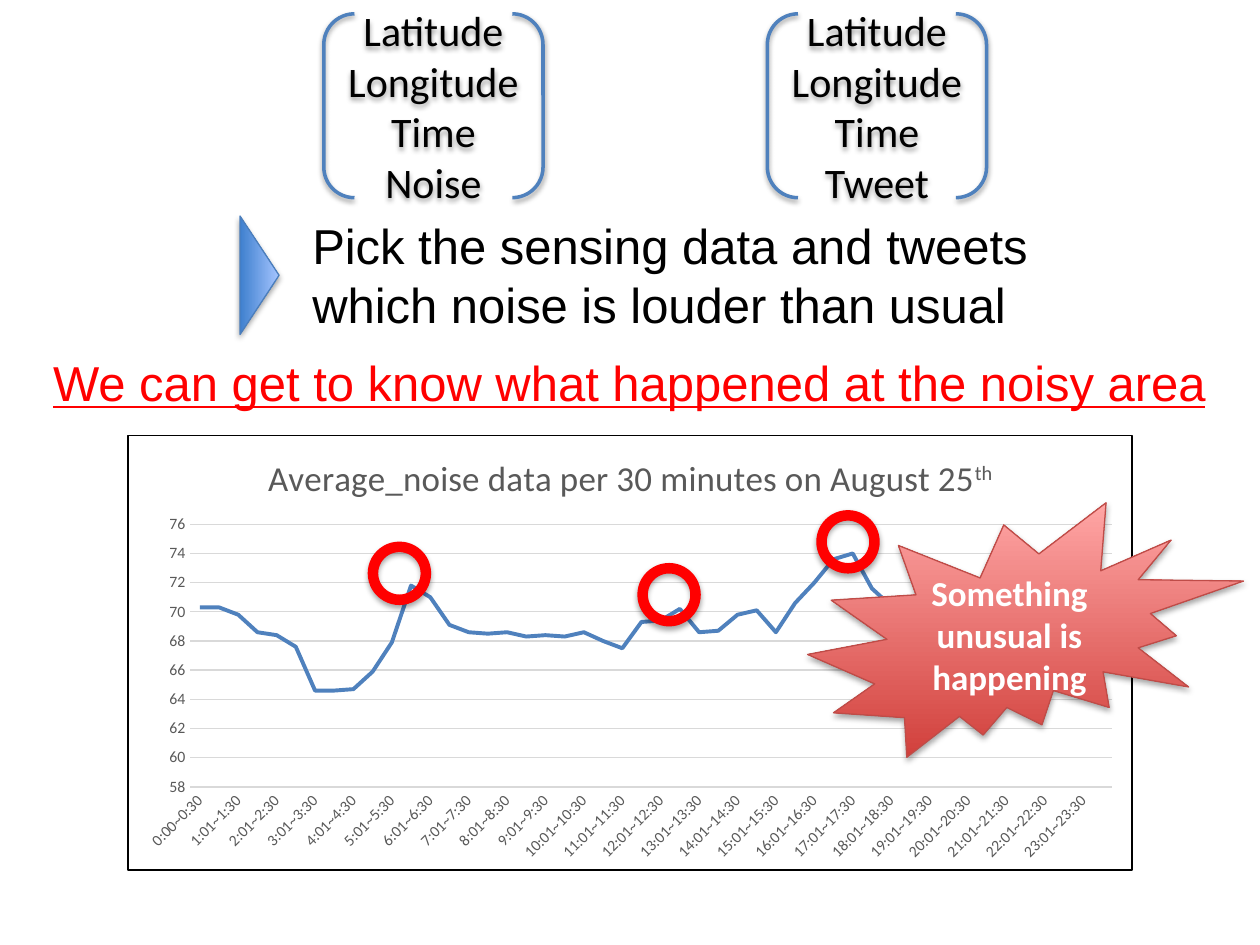
import pptx
import pptx.chart.data
import pptx.dml.color
import pptx.enum.chart
import pptx.enum.shapes
import pptx.enum.text
import pptx.oxml
import pptx.util

Inches, Pt = pptx.util.Inches, pptx.util.Pt
SHAPE = pptx.enum.shapes.MSO_SHAPE
CENTER = pptx.enum.text.PP_ALIGN.CENTER
COLOURS = {
    "text": "000000", "alert": "FF0000", "light": "FFFFFF", "label": "595959",
    "grid": "D9D9D9", "line": "4F81BD", "arrow_edge": "4B7EBC", "burst_edge": "BF4C48",
    "arrow_dark": "3F80CE", "arrow_light": "A4C4FF",
    "burst_dark": "D1403C", "burst_light": "FFA6A5",
}


def rgb(name):
    return pptx.dml.color.RGBColor.from_string(COLOURS[name])


def write(shape, lines, colour, align=None, **font_format):
    """Fill a shape with one paragraph per line, setting each font attribute given."""
    frame = shape.text_frame
    frame.word_wrap = True
    frame.text = "\n".join(lines)
    for paragraph in frame.paragraphs:
        paragraph.alignment = align
        font = paragraph.runs[0].font
        font.color.rgb = rgb(colour)
        for attribute, value in font_format.items():
            setattr(font, attribute, value)


deck = pptx.Presentation()
deck.slide_width, deck.slide_height = Inches(10), Inches(7.5)
slide = deck.slides.add_slide(deck.slide_layouts[6])
shapes = slide.shapes

# Step: arrow and what is picked
arrow = shapes.add_shape(SHAPE.ISOSCELES_TRIANGLE,
                         Inches(1.59), Inches(2.03), Inches(0.94), Inches(0.31))
arrow.rotation = 90
step = shapes.add_textbox(Inches(2.38), Inches(1.66), Inches(6.01), Inches(1.04))
write(step, ["Pick the sensing data and tweets which noise is louder than usual"],
      "text", name="Arial", size=Pt(28))

# Noise chart: one value per half hour
half_hours = ["0:00~0:30"]
for hour in range(24):
    if hour:
        half_hours.append(f"{hour}:01~{hour}:30")
    half_hours.append(f"{hour}:31~{hour + 1}:00" if hour < 23 else "23:31~23:59")
noise = [
    70.3, 70.3, 69.8, 68.6, 68.4, 67.6, 64.6, 64.6, 64.7, 65.9, 67.9, 71.8,
    71.0, 69.1, 68.6, 68.5, 68.6, 68.3, 68.4, 68.3, 68.6, 68.0, 67.5, 69.3,
    69.4, 70.2, 68.6, 68.7, 69.8, 70.1, 68.6, 70.6, 72.0, 73.6, 74.0, 71.6,
    70.4, 70, 70, 71, 71, 71, 70, 70, 70, 69, 69, 71,
]
noise_data = pptx.chart.data.CategoryChartData()
noise_data.categories = half_hours
noise_data.add_series("Series 1", noise)
chart = shapes.add_chart(pptx.enum.chart.XL_CHART_TYPE.LINE, Inches(1.01), Inches(3.45),
                         Inches(7.98), Inches(3.46), noise_data).chart
chart.has_legend = False
chart.font.name, chart.font.size = "Calibri", Pt(10)
chart.plots[0].vary_by_categories = False

heading = chart.chart_title.text_frame.paragraphs[0]
for wording in ("Average_noise data per 30 minutes on August 25", "th"):
    run = heading.add_run()
    run.text = wording
    run.font.name, run.font.size, run.font.bold = "Calibri", Pt(20), False
    run.font.color.rgb = rgb("label")
run.font._element.set("baseline", "30000")

curve = chart.plots[0].series[0]
curve.smooth = False
curve.marker.style = pptx.enum.chart.XL_MARKER_STYLE.NONE
curve.format.line.color.rgb = rgb("line")
curve.format.line.width = Pt(2.25)

times, levels = chart.category_axis, chart.value_axis
for axis in (times, levels):
    axis.major_tick_mark = axis.minor_tick_mark = pptx.enum.chart.XL_TICK_MARK.NONE
    axis.tick_labels.font.name = "Calibri"
    axis.tick_labels.font.size = Pt(9)
    axis.tick_labels.font.color.rgb = rgb("label")
for attribute, value in {"minimum_scale": 58, "maximum_scale": 76, "major_unit": 2}.items():
    setattr(levels, attribute, value)
levels.tick_labels.number_format = "0"
levels.tick_labels.number_format_is_linked = False
levels.format.line.fill.background()
for rule in (times.format.line, levels.major_gridlines.format.line):
    rule.color.rgb = rgb("grid")
    rule.width = Pt(0.75)
times._element.xpath("c:txPr/a:bodyPr")[0].set("rot", "-2700000")

frame_format = pptx.oxml.parse_xml(
    '<c:spPr xmlns:c="http://schemas.openxmlformats.org/drawingml/2006/chart"'
    ' xmlns:a="http://schemas.openxmlformats.org/drawingml/2006/main">'
    f'<a:solidFill><a:srgbClr val="{COLOURS["light"]}"/></a:solidFill>'
    f'<a:ln w="9525"><a:solidFill><a:srgbClr val="{COLOURS["text"]}"/></a:solidFill></a:ln>'
    '</c:spPr>')
chart._chartSpace.xpath("c:chart")[0].addnext(frame_format)

# Burst over the evening hours
burst = shapes.add_shape(SHAPE.EXPLOSION2, Inches(6.41), Inches(3.99), Inches(3.46), Inches(2.02))
write(burst, ["Something unusual is happening"], "light", CENTER,
      name="Calibri", size=Pt(20), bold=True)

# Arrow and burst keep the theme's soft shadow
for shaded, part in ((arrow, "arrow"), (burst, "burst")):
    shaded.fill.gradient()
    shaded.fill.gradient_angle = 90
    for stop, tone in zip(shaded.fill.gradient_stops, ("dark", "light")):
        stop.color.rgb = rgb(f"{part}_{tone}")
    shaded.line.color.rgb = rgb(f"{part}_edge")
    shaded.line.width = Pt(0.75)

# Rings around the noise peaks
for left, top in ((2.96, 4.34), (5.1, 4.51), (6.52, 4.09)):
    ring = shapes.add_shape(SHAPE.OVAL, Inches(left), Inches(top), Inches(0.42), Inches(0.42))
    ring.fill.background()
    ring.line.color.rgb = rgb("alert")
    ring.line.width = Pt(6)

# Fields of each data record, with the theme's lighter shadow
for left, measure in ((2.57, "Noise"), (6.09, "Tweet")):
    record = shapes.add_shape(SHAPE.DOUBLE_BRACKET, Inches(left), Inches(0.11),
                              Inches(1.74), Inches(1.46))
    record._element.xpath("p:style/a:effectRef")[0].set("idx", "1")
    record.fill.background()
    record.line.color.rgb = rgb("line")
    record.line.width = Pt(2)
    write(record, ["Latitude", "Longitude", "Time", measure], "text", CENTER,
          name="Calibri", size=Pt(24))

conclusion = shapes.add_textbox(Inches(0.06), Inches(2.75), Inches(9.87), Inches(0.57))
write(conclusion, ["We can get to know what happened at the noisy area"], "alert", CENTER,
      name="Arial", size=Pt(28), underline=True)

deck.save("out.pptx")
